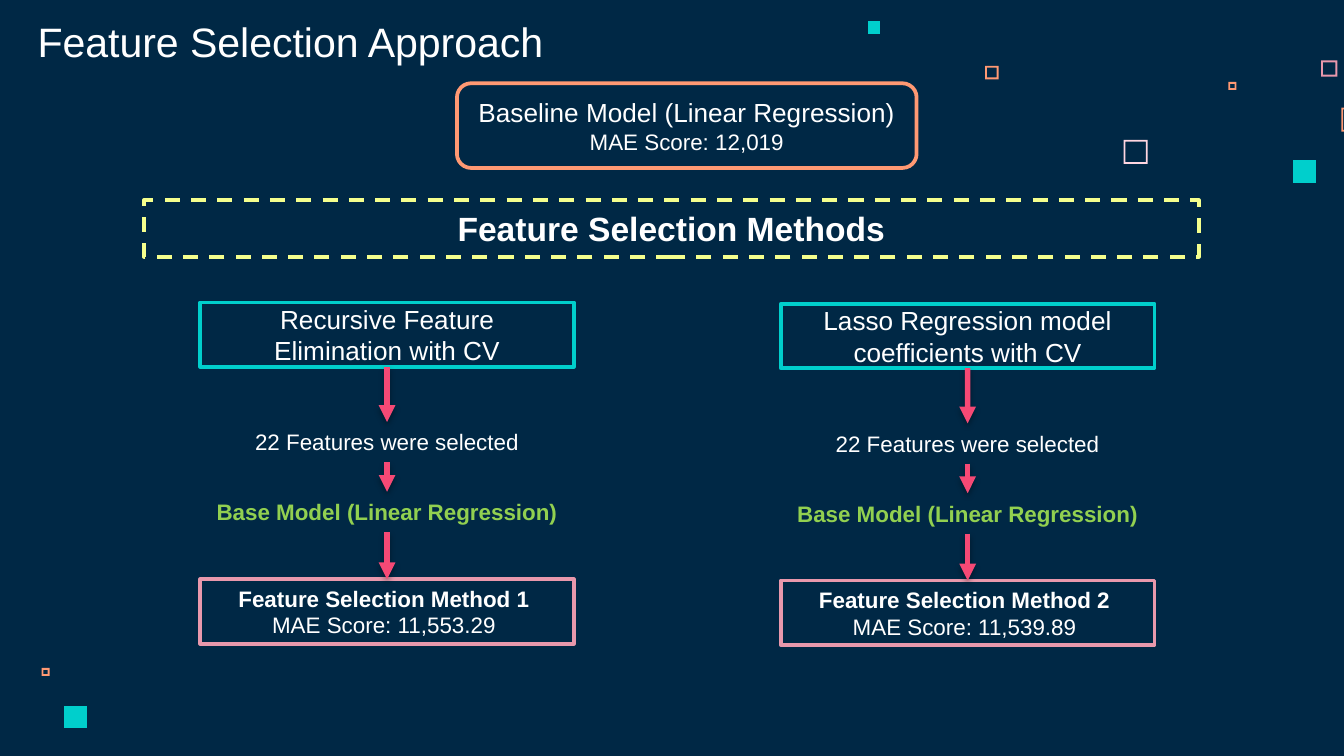
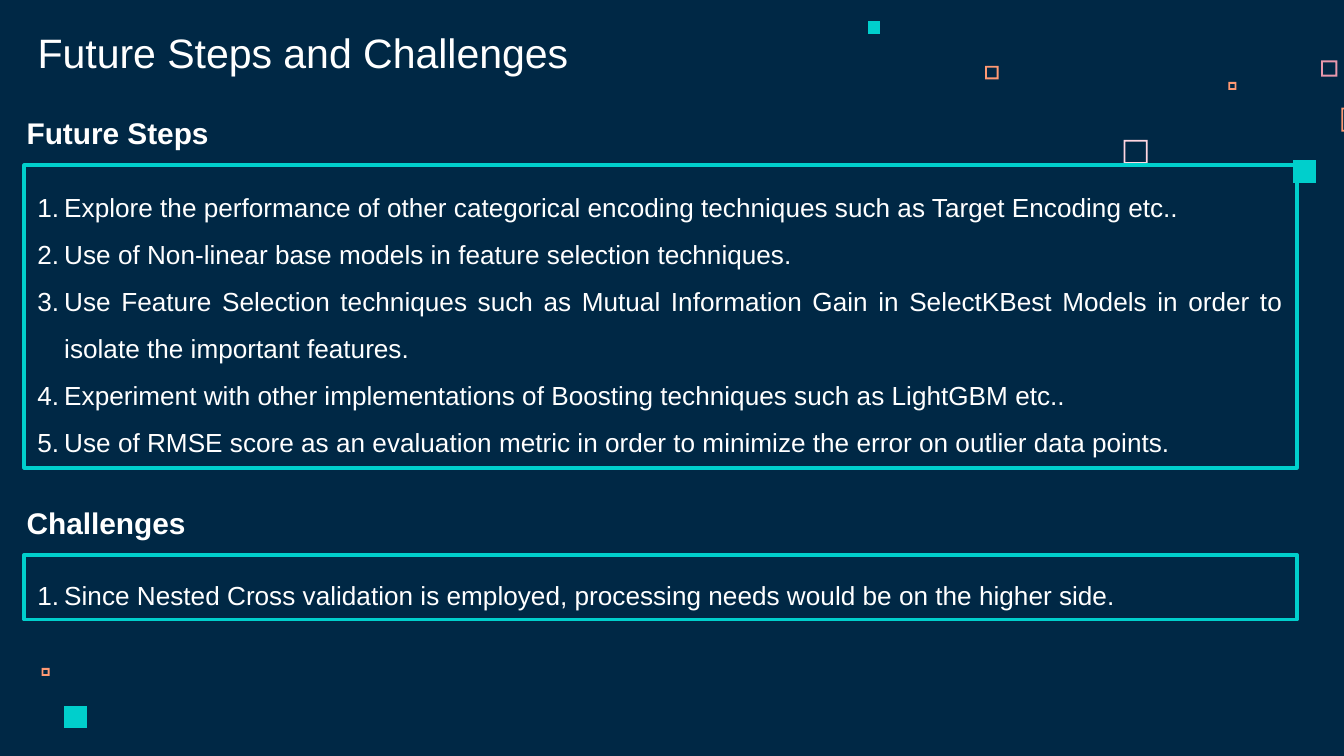
import pptx
import pptx.util
import pptx.dml.color
import pptx.enum.dml
import pptx.enum.shapes
import pptx.enum.text
import pptx.oxml
import pptx.oxml.ns

Inches = pptx.util.Inches
Pt = pptx.util.Pt
PRESET = pptx.enum.shapes.MSO_SHAPE
ANCHOR = pptx.enum.text.MSO_ANCHOR
FIT = pptx.enum.text.MSO_AUTO_SIZE
ALIGN = pptx.enum.text.PP_ALIGN

FONT = "Arial"
NAVY, WHITE, TEAL, ORANGE = "002845", "FFFFFF", "00CFCC", "FF9973"
PINK, BLUSH, ROSE = "E898AC", "FFD6E1", "F64975"
YELLOW, GREEN = "F5FF8D", "92D050"
TOP, BOTTOM = 0, 2
TITLE_ONLY = 5

CONFETTI = [
    (8.36, 1.04, 0.18, BLUSH, True),
    (9.83, 0.45, 0.12, PINK, True),
    (9.14, 0.61, 0.06, ORANGE, True),
    (9.98, 0.80, 0.18, ORANGE, True),
    (9.62, 1.19, 0.17, TEAL, False),
    (7.33, 0.49, 0.10, ORANGE, True),
    (6.46, 0.16, 0.09, TEAL, False),
    (0.31, 4.97, 0.06, ORANGE, True),
    (0.48, 5.25, 0.17, TEAL, False),
]

FUTURE_STEPS = [
    "Explore the performance of other categorical encoding techniques such as Target Encoding etc..",
    "Use of Non-linear base models in feature selection techniques.",
    "Use Feature Selection techniques such as Mutual Information Gain in SelectKBest Models "
    "in order to isolate the important features.",
    "Experiment with other implementations of Boosting techniques such as LightGBM etc.. ",
    "Use of RMSE score as an evaluation metric in order to minimize the error on outlier data points.",
]
CHALLENGES = [
    "Since Nested Cross validation is employed, processing needs would be on the higher side.",
]


def rgb(color):
    return pptx.dml.color.RGBColor.from_string(color)


def a_element(markup):
    tag, rest = markup.split(" ", 1)
    return pptx.oxml.parse_xml(f"<a:{tag} {pptx.oxml.ns.nsdecls('a')} {rest}")


def number(paragraph):
    properties = paragraph._p.get_or_add_pPr()
    properties.set("marL", str(Inches(0.2)))
    properties.set("indent", str(-Inches(0.2)))
    properties.append(a_element(f'buClr ><a:srgbClr val="{WHITE}"/></a:buClr>'))
    properties.append(a_element('buAutoNum type="arabicPeriod"/>'))


def write(holder, lines, size=14, color=WHITE, bold=False, align=ALIGN.CENTER,
          anchor=ANCHOR.MIDDLE, fit=FIT.NONE, spacing=None, numbered=False):
    frame = holder.text_frame
    frame.word_wrap = True
    frame.auto_size = fit
    frame.vertical_anchor = anchor
    for index, line in enumerate(lines):
        text, changes = line if isinstance(line, tuple) else (line, {})
        paragraph = frame.paragraphs[0] if index == 0 else frame.add_paragraph()
        paragraph.alignment = align
        if spacing:
            paragraph.line_spacing = spacing
        if numbered:
            number(paragraph)
        run = paragraph.add_run()
        run.text = text
        run.font.name = FONT
        run.font.size = Pt(changes.get("size", size))
        run.font.bold = changes.get("bold", bold)
        run.font.color.rgb = rgb(color)


def add_frame(slide, box, lines, outline, preset=PRESET.RECTANGLE, dash=None, **style):
    frame = slide.shapes.add_shape(preset, *map(Inches, box))
    frame.shadow.inherit = False
    frame.fill.background()
    frame.line.color.rgb = rgb(outline)
    frame.line.width = Pt(2)
    if dash:
        frame.line.dash_style = dash
    write(frame, lines, **style)
    return frame


def add_label(slide, box, text, **style):
    label = slide.shapes.add_textbox(*map(Inches, box))
    write(label, [text], **style)
    return label


def add_arrow(slide, upper, lower):
    arrow = slide.shapes.add_connector(pptx.enum.shapes.MSO_CONNECTOR.STRAIGHT, 0, 0, 0, 0)
    arrow.begin_connect(upper, BOTTOM)
    arrow.end_connect(lower, TOP)
    arrow.line.color.rgb = rgb(ROSE)
    arrow.line.width = Pt(3)
    arrow.line._get_or_add_ln().append(a_element('tailEnd type="triangle"/>'))
    arrow._element.spPr.append(a_element(
        f'effectLst ><a:outerShdw blurRad="{Pt(3.1)}" dist="{Pt(1.8)}" dir="5400000" '
        'rotWithShape="0"><a:srgbClr val="000000"><a:alpha val="35000"/></a:srgbClr>'
        '</a:outerShdw></a:effectLst>'))


def add_confetti(slide):
    rim = Pt(1)
    for left, top, side, color, hollow in CONFETTI:
        x, y, edge = Inches(left), Inches(top), Inches(side)
        outline = slide.shapes.build_freeform(x, y)
        outline.add_line_segments([(x + edge, y), (x + edge, y + edge), (x, y + edge)])
        if hollow:
            near_x, near_y = x + rim, y + rim
            far_x, far_y = x + edge - rim, y + edge - rim
            outline.move_to(near_x, near_y)
            outline.add_line_segments([(near_x, far_y), (far_x, far_y), (far_x, near_y)])
        square = outline.convert_to_shape()
        square.shadow.inherit = False
        square.fill.solid()
        square.fill.fore_color.rgb = rgb(color)
        square.line.fill.background()


def start_slide(deck, heading, top, height):
    slide = deck.slides.add_slide(deck.slide_layouts[TITLE_ONLY])
    add_confetti(slide)
    title = slide.shapes.title
    title.left, title.top, title.width, title.height = map(Inches, (0.18, top, 5, height))
    frame = title.text_frame
    frame.margin_left = frame.margin_right = Inches(0.1)
    frame.margin_top = frame.margin_bottom = Inches(0.1)
    write(title, [heading], size=22, align=ALIGN.LEFT, anchor=ANCHOR.BOTTOM)
    return slide


def add_method(slide, left, top, method, result, score):
    width = 2.78
    steps = [
        add_frame(slide, (left, top, width, 0.48), [method], TEAL),
        add_label(slide, (left + 0.07, top + 0.89, width - 0.14, 0.3),
                  "22 Features were selected", size=12, anchor=ANCHOR.TOP,
                  fit=FIT.SHAPE_TO_FIT_TEXT),
        add_label(slide, (left, top + 1.41, width, 0.3),
                  "Base Model (Linear Regression)", size=12, color=GREEN, bold=True,
                  anchor=ANCHOR.TOP, fit=FIT.SHAPE_TO_FIT_TEXT),
        add_frame(slide, (left, top + 2.06, width, 0.48),
                  [(result, {"bold": True}), score], PINK, size=12),
    ]
    for upper, lower in zip(steps, steps[1:]):
        add_arrow(slide, upper, lower)


def add_numbered_section(slide, top, height, heading, items, align):
    add_label(slide, (0.1, top, 2.78, 0.48), heading, size=16, bold=True, align=ALIGN.LEFT)
    add_frame(slide, (0.18, top + 0.48, 9.47, height), items, TEAL,
              align=align, spacing=1.5, numbered=True)


def build_approach(deck):
    slide = start_slide(deck, "Feature Selection Approach", 0.11, 0.48)
    add_frame(slide, (3.4, 0.62, 3.42, 0.63),
              ["Baseline Model (Linear Regression)", ("MAE Score: 12,019", {"size": 12})],
              ORANGE, preset=PRESET.ROUNDED_RECTANGLE)
    add_frame(slide, (1.07, 1.49, 7.85, 0.42), ["Feature Selection Methods"], YELLOW,
              dash=pptx.enum.dml.MSO_LINE.DASH, size=18, bold=True)
    add_method(slide, 1.49, 2.25, "Recursive Feature Elimination with CV",
               "Feature Selection Method 1 ", "MAE Score: 11,553.29 ")
    add_method(slide, 5.81, 2.26, "Lasso Regression model coefficients with CV",
               "Feature Selection Method 2 ", "MAE Score: 11,539.89 ")


def build_outlook(deck):
    slide = start_slide(deck, "Future Steps and Challenges", 0.04, 0.63)
    add_numbered_section(slide, 0.75, 2.25, "Future Steps", FUTURE_STEPS, ALIGN.JUSTIFY)
    add_numbered_section(slide, 3.65, 0.48, "Challenges", CHALLENGES, ALIGN.LEFT)


def main():
    deck = pptx.Presentation()
    deck.slide_width = Inches(10)
    deck.slide_height = deck.slide_width * 9 // 16
    backdrop = deck.slide_master.background.fill
    backdrop.solid()
    backdrop.fore_color.rgb = rgb(NAVY)
    build_approach(deck)
    build_outlook(deck)
    deck.save("out.pptx")


if __name__ == "__main__":
    main()
